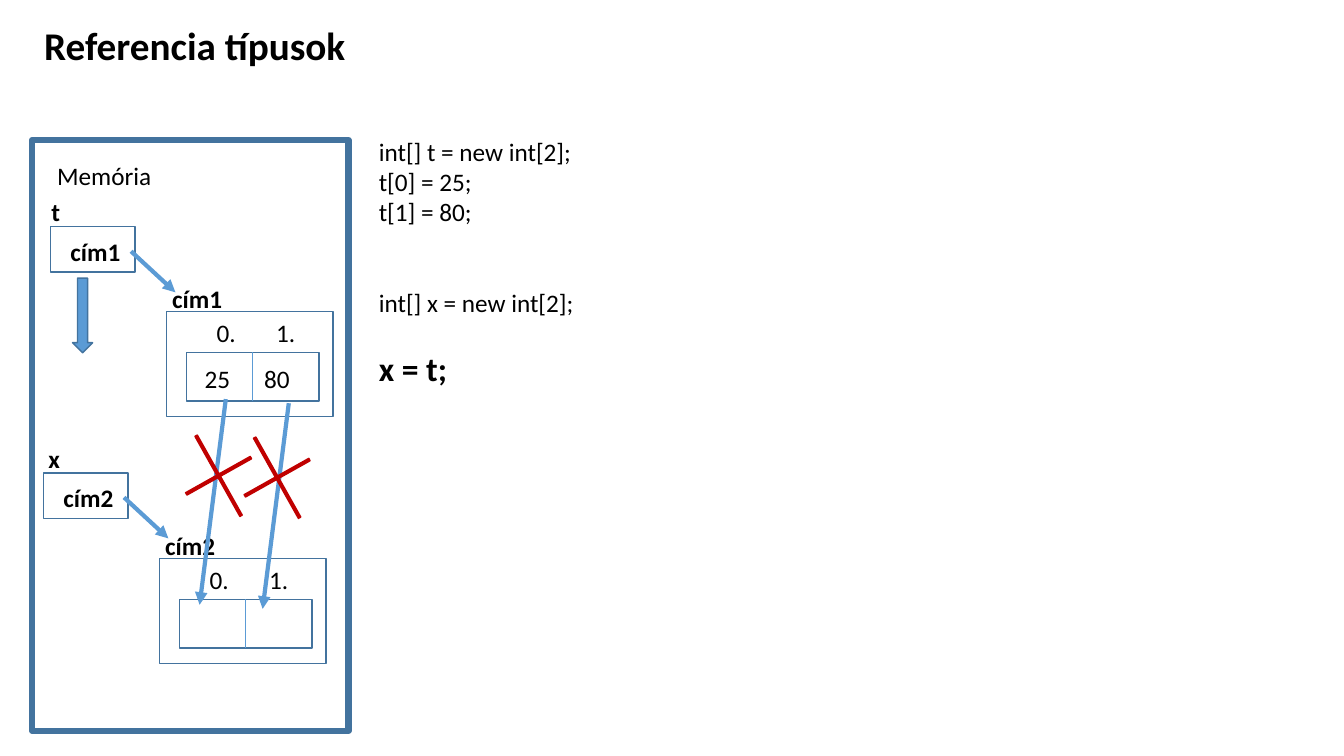
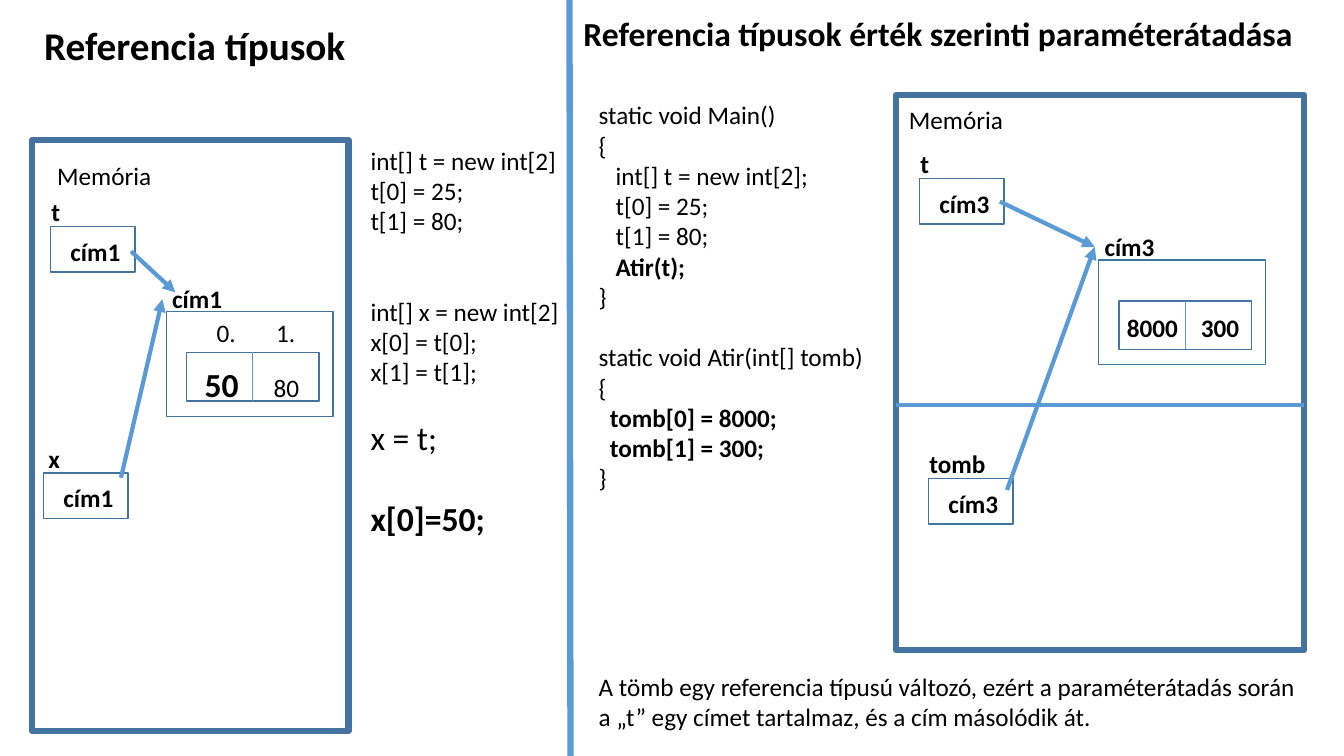
from dataclasses import dataclass

from lxml.etree import SubElement
from pptx import Presentation
from pptx.dml.color import RGBColor
from pptx.enum.shapes import MSO_CONNECTOR, MSO_SHAPE
from pptx.oxml.ns import qn
from pptx.util import Pt

# Shared style
FONT = "Calibri"
BLACK, OUTLINE, BLUE, RED = "000000", "43739E", "5B9BD5", "C00000"
BODY, LARGE = 18, 24
LINE = 1.2 * BODY  # height of one body line
TAB_STOP = 42.5    # distance between the two array columns


@dataclass
class Line:
    text: str
    size: float = BODY
    bold: bool = False
    before: float = 0
    indent: float = 0


def color(value):
    return RGBColor.from_string(value)


# Text
def style_run(run, size, bold):
    run.font.name = FONT
    run.font.size = Pt(size)
    run.font.bold = bold
    run.font.color.rgb = color(BLACK)


def text_frame(slide, x, y, width, height):
    frame = slide.shapes.add_textbox(Pt(x), Pt(y), Pt(width), Pt(height)).text_frame
    frame.word_wrap = True
    return frame


def label(slide, x, y, text, size=BODY, bold=False, width=100):
    frame = text_frame(slide, x, y, width, 29)
    frame.text = text
    style_run(frame.paragraphs[0].runs[0], size, bold)
    return frame.paragraphs[0]


def title(slide, x, y, width, text, size):
    label(slide, x, y, text, size, True, width).line_spacing = 0.9


def text_block(slide, x, y, width, height, lines):
    frame = text_frame(slide, x, y, width, height)
    frame.text = "\n".join(line.text for line in lines)
    for paragraph, line in zip(frame.paragraphs, lines):
        paragraph.space_before = Pt(line.before)
        if line.indent:
            paragraph._p.get_or_add_pPr().set("marL", str(Pt(line.indent)))
        style_run(paragraph.runs[0], line.size, line.bold)


def two_columns(slide, x, y, first, second, tab_stop=TAB_STOP):
    """Two values on one baseline, the second one at a tab stop."""
    paragraph = text_frame(slide, x, y, 110, 29).paragraphs[0]
    tabs = SubElement(paragraph._p.get_or_add_pPr(), qn("a:tabLst"))
    SubElement(tabs, qn("a:tab"), pos=str(Pt(tab_stop)), algn="l")
    for value, prefix in ((first, ""), (second, "\t")):
        run = paragraph.add_run()
        run.text = prefix + value.text
        style_run(run, value.size, value.bold)


# Shapes and lines
def outlined(slide, kind, x, y, width, height, fill=None, line=OUTLINE, weight=1):
    shape = slide.shapes.add_shape(kind, Pt(x), Pt(y), Pt(width), Pt(height))
    shape.shadow.inherit = False
    if fill:
        shape.fill.solid()
        shape.fill.fore_color.rgb = color(fill)
    else:
        shape.fill.background()
    shape.line.color.rgb = color(line)
    shape.line.width = Pt(weight)
    return shape


def box(slide, x, y, width, height, weight=1):
    outlined(slide, MSO_SHAPE.RECTANGLE, x, y, width, height, weight=weight)


def straight(slide, start, end, weight=3, arrow=False):
    connector = slide.shapes.add_connector(
        MSO_CONNECTOR.STRAIGHT, *(Pt(value) for value in (*start, *end)))
    connector.line.color.rgb = color(BLUE)
    connector.line.width = Pt(weight)
    properties = connector._element.spPr
    if arrow:
        SubElement(properties.find(qn("a:ln")), qn("a:tailEnd"), type="triangle")
    SubElement(properties, qn("a:effectLst"))


def arrow(slide, start, end):
    straight(slide, start, end, arrow=True)


def cross(slide, x, y):
    plus = outlined(slide, MSO_SHAPE.MATH_PLUS, x, y, 72, 89.3, RED, RED)
    plus.adjustments[0] = 0.027
    plus.rotation = 330.7


# Parts of the memory diagram
def memory(slide, x, y, width, height, label_dx, label_dy):
    box(slide, x, y, width, height, 4.5)
    label(slide, x + label_dx, y + label_dy, "Memória")


def variable(slide, x, y, name, address, name_dx=-6.3):
    box(slide, x, y, 60.5, 32.4)
    label(slide, x + name_dx, y - 25, name, bold=True)
    label(slide, x + 7.2, y + 3.4, address, bold=True)


def pointer(slide, x, y):
    """Arrow from the variable at x, y to the array below it."""
    arrow(slide, (x + 57.6, y + 17.5), (x + 89.3, y + 46.8))


def array(slide, x, y, address, values=None, values_dx=20.2,
          tab_stop=TAB_STOP, indexed=True):
    cells_x, cells_y, cells_width, cells_height = x + 14.4, y + 29.3, 94.6, 34.6
    middle = cells_x + cells_width / 2
    box(slide, x, y, 119, 75)
    box(slide, cells_x, cells_y, cells_width, cells_height)
    straight(slide, (middle, cells_y), (middle, cells_y + cells_height), 0.5)
    if indexed:
        two_columns(slide, x + 28.8, y + 0.5, Line("0."), Line("1."))
    if values:
        two_columns(slide, x + values_dx, y + 33.6, *values, tab_stop)
    label(slide, x - 2.9, y - 23.8, address, bold=True)


def reference_types(slide, values, tab_stop, x_address):
    """The left part that both slides begin with."""
    title(slide, 24.5, 15.8, 333, "Referencia típusok", 28)
    memory(slide, 23, 100, 226, 422, 10.8, 10.9)
    variable(slide, 36, 162, "t", "cím1")
    array(slide, 118.8, 222.5, "cím1", values, tab_stop=tab_stop)
    pointer(slide, 36, 162)
    variable(slide, 31, 337.8, "x", x_address, name_dx=-3.6)


# Slides
def assignment_slide(slide):
    reference_types(slide, (Line("25"), Line("80")), TAB_STOP, "cím2")
    text_block(slide, 263.5, 93.6, 170, 211, [
        Line("int[] t = new int[2];"),
        Line("t[0] = 25;"),
        Line("t[1] = 80;"),
        Line("int[] x = new int[2];", before=2 * LINE),
        Line("x = t;", LARGE, True, before=LINE),
    ])
    array(slide, 113.8, 398.9, "cím2")
    pointer(slide, 31, 337.8)

    # Element copies that do not happen
    for column in range(2):
        dx, dy = 45 * column, 2.9 * column
        arrow(slide, (161.3 + dx, 285.1 + dy), (142.6 + dx, 432 + dy))
    for column in range(2):
        cross(slide, 120.2 + 41.8 * column, 295.2 + 1.4 * column)
    outlined(slide, MSO_SHAPE.DOWN_ARROW, 51.8, 198.7, 14.4, 53.3, BLUE)


def parameter_slide(slide):
    reference_types(slide, (Line("50", LARGE, True), Line("80")), 49.3, "cím1")
    text_block(slide, 257.6, 100, 160, 312, [
        Line("int[] t = new int[2]"),
        Line("t[0] = 25;"),
        Line("t[1] = 80;"),
        Line("int[] x = new int[2]", before=2 * LINE),
        Line("x[0] = t[0];"),
        Line("x[1] = t[1];"),
        Line("x = t;", LARGE, before=LINE),
        Line("x[0]=50;", LARGE, True, before=1.2 * LARGE),
    ])
    arrow(slide, (86.4, 341.3), (116, 213.8))

    # Right half: passing a reference by value
    straight(slide, (406.8, 0), (407.5, 540), 4.5)
    title(slide, 409.7, 8.6, 550, "Referencia típusok érték szerinti paraméterátadása", LARGE)
    text_block(slide, 420.5, 67.7, 215, 291, [
        Line("static void Main()"),
        Line("{"),
        Line("int[] t = new int[2];", indent=12.2),
        Line("t[0] = 25;", indent=12.2),
        Line("t[1] = 80;", indent=12.2),
        Line("Atir(t);", bold=True, indent=12.2),
        Line("}"),
        Line("static void Atir(int[] tomb)", before=LINE),
        Line("{"),
        Line("tomb[0] = 8000;", bold=True, indent=8.1),
        Line("tomb[1] = 300;", bold=True, indent=8.1),
        Line("}"),
    ])
    memory(slide, 640, 67.7, 291.6, 396.7, 2.2, 2.9)
    variable(slide, 656.7, 127.5, "t", "cím3")
    array(slide, 784.8, 185.6, "cím3", (Line("8000", bold=True), Line("300", bold=True)),
          values_dx=13, tab_stop=52.9, indexed=False)
    variable(slide, 663.1, 342, "tomb", "cím3")
    straight(slide, (640, 289.4), (931.6, 289.4))
    for start in ((714.2, 144), (719.3, 350)):
        arrow(slide, start, (782, 176.4))
    text_block(slide, 420.5, 476, 535, 51, [
        Line("A tömb egy referencia típusú változó, ezért a paraméterátadás során"),
        Line("a „t” egy címet tartalmaz, és a cím másolódik át."),
    ])


def main():
    presentation = Presentation()
    presentation.slide_width, presentation.slide_height = Pt(960), Pt(540)
    blank = presentation.slide_layouts[6]
    for build in (assignment_slide, parameter_slide):
        build(presentation.slides.add_slide(blank))
    presentation.save("out.pptx")


if __name__ == "__main__":
    main()
